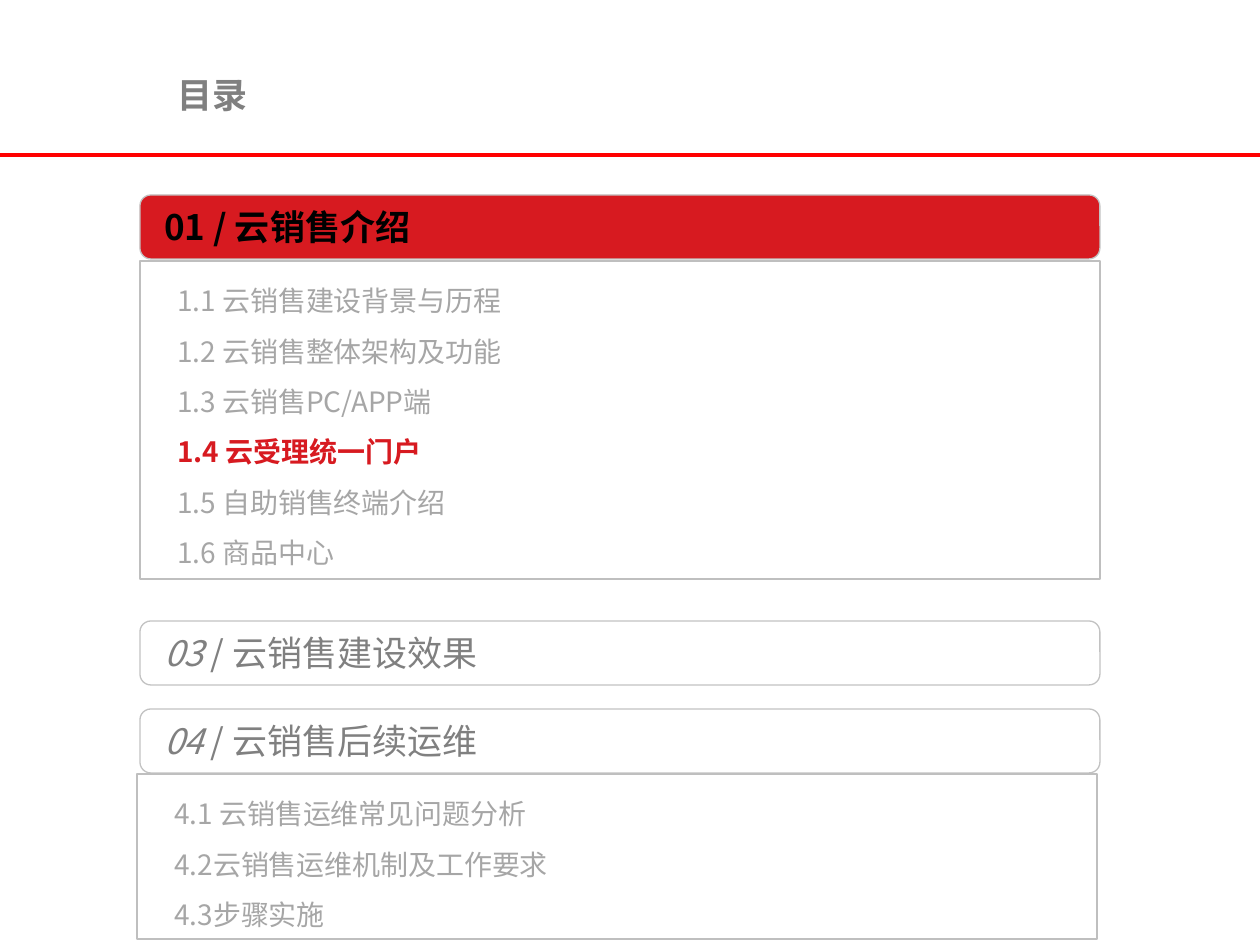
from dataclasses import dataclass

from lxml import etree
from pptx import Presentation
from pptx.dml.color import RGBColor
from pptx.enum.shapes import MSO_CONNECTOR, MSO_SHAPE
from pptx.enum.text import MSO_ANCHOR as Anchor, MSO_AUTO_SIZE as AutoSize, PP_ALIGN as Align
from pptx.oxml.ns import qn
from pptx.util import Emu, Pt

FONT = "Noto Sans CJK SC"
RED, GRAY, PALE, WHITE, BLACK = "D71A20", "808080", "A6A6A6", "FFFFFF", "000000"
BAR_LINE, LIST_LINE = "C2C2C2", "BFBFBF"
BAR_X, BAR_W, BAR_H = 140, 960, 64


def px(length: int) -> Emu:
    return Emu(round(length * 914400 / 126))


def color(code: str) -> RGBColor:
    return RGBColor.from_string(code)


@dataclass
class Chapter:
    number: str
    title: str
    top: int
    active: bool = False


@dataclass
class Contents:
    left: int
    top: int
    height: int
    entries: list[str]
    current: int | None = None


def add_text(paragraph, text: str, *, size: int, ink: str, bold=False, italic=False) -> None:
    run = paragraph.add_run()
    run.text = text
    font = run.font
    font.size, font.bold, font.italic, font.name = Pt(size), bold, italic, FONT
    font.color.rgb = color(ink)
    # East Asian characters need the font named separately
    etree.SubElement(run._r.get_or_add_rPr(), qn("a:ea")).set("typeface", FONT)


def add_box(slide, kind, left: int, top: int, height: int, outline: str):
    box = slide.shapes.add_shape(kind, px(left), px(top), px(BAR_W), px(height))
    box.shadow.inherit = False
    box.line.color.rgb = color(outline)
    box.line.width = Pt(0.75)
    box.text_frame.word_wrap = True
    return box


def add_chapter(slide, chapter: Chapter) -> None:
    bar = add_box(slide, MSO_SHAPE.ROUNDED_RECTANGLE, BAR_X, chapter.top, BAR_H, BAR_LINE)
    bar.adjustments[0] = 0.17
    bar.fill.solid()
    bar.fill.fore_color.rgb = color(RED if chapter.active else WHITE)
    frame = bar.text_frame
    frame.vertical_anchor = Anchor.MIDDLE
    frame.margin_left = px(21)
    heading = frame.paragraphs[0]
    heading.alignment = Align.LEFT
    ink = BLACK if chapter.active else GRAY
    add_text(heading, f"{chapter.number} ", size=20, ink=ink,
             bold=chapter.active, italic=not chapter.active)
    add_text(heading, f"/ {chapter.title}", size=20, ink=ink, bold=chapter.active)


def add_contents(slide, contents: Contents) -> None:
    panel = add_box(slide, MSO_SHAPE.RECTANGLE, contents.left, contents.top,
                    contents.height, LIST_LINE)
    panel.fill.background()
    frame = panel.text_frame
    frame.vertical_anchor = Anchor.TOP
    for index, entry in enumerate(contents.entries):
        line = frame.add_paragraph() if index else frame.paragraphs[0]
        line.alignment = Align.LEFT
        line.line_spacing = 1.5
        properties = line._p.get_or_add_pPr()
        properties.set("marL", str(px(25)))
        properties.set("indent", "0")
        current = index == contents.current
        add_text(line, entry, size=16, ink=RED if current else PALE, bold=current)


CHAPTERS = [
    Chapter("01", "云销售介绍", 195, active=True),
    Chapter("03", "云销售建设效果", 621),
    Chapter("04", "云销售后续运维", 709),
]
CONTENTS = [
    Contents(140, 261, 318, [
        "1.1 云销售建设背景与历程",
        "1.2 云销售整体架构及功能",
        "1.3 云销售PC/APP端",
        "1.4 云受理统一门户",
        "1.5 自助销售终端介绍",
        "1.6 商品中心",
    ], current=3),
    Contents(137, 774, 165, [
        "4.1 云销售运维常见问题分析",
        "4.2云销售运维机制及工作要求",
        "4.3步骤实施",
    ]),
]


def main() -> None:
    deck = Presentation()
    deck.slide_width, deck.slide_height = px(1260), px(945)
    slide = deck.slides.add_slide(deck.slide_layouts[5])

    # Title
    title = slide.shapes.title
    title.left, title.top, title.width, title.height = px(165), px(56), px(822), px(78)
    title.text_frame.auto_size = AutoSize.NONE
    title.text_frame.vertical_anchor = Anchor.MIDDLE
    title_line = title.text_frame.paragraphs[0]
    title_line.alignment = Align.LEFT
    add_text(title_line, "目录", size=20, ink=GRAY, bold=True)

    # Rule under the title
    rule = slide.shapes.add_connector(MSO_CONNECTOR.STRAIGHT, px(0), px(155), px(1260), px(155))
    rule.line.color.rgb = color("FF0000")
    rule.line.width = Pt(2)
    etree.SubElement(rule._element.spPr, qn("a:effectLst"))

    # Chapter bars and their contents
    for chapter in CHAPTERS:
        add_chapter(slide, chapter)
    for contents in CONTENTS:
        add_contents(slide, contents)

    deck.save("out.pptx")


if __name__ == "__main__":
    main()
